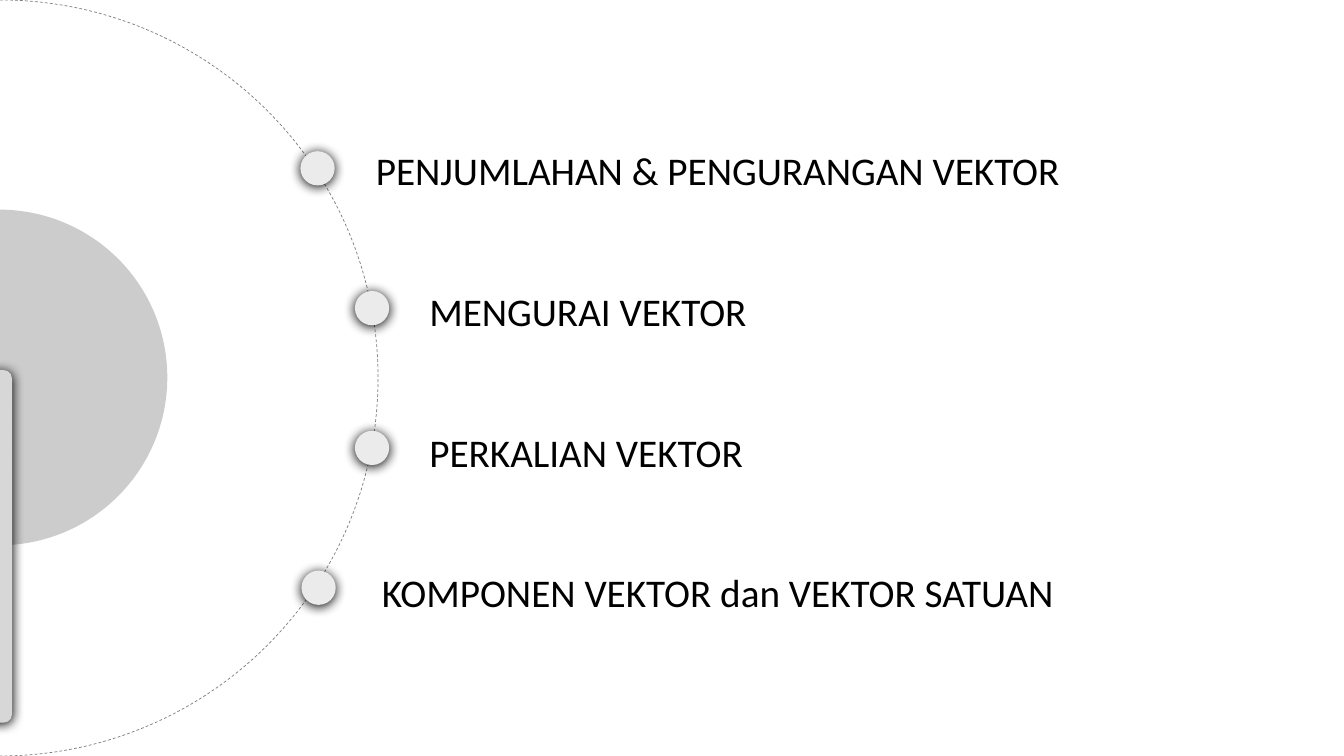
from lxml import etree
from pptx import Presentation
from pptx.dml.color import RGBColor
from pptx.enum.dml import MSO_LINE
from pptx.enum.shapes import MSO_SHAPE
from pptx.enum.text import MSO_ANCHOR, MSO_AUTO_SIZE
from pptx.oxml import parse_xml
from pptx.oxml.ns import nsdecls, qn
from pptx.util import Inches, Pt

COLORS = {"white": "FFFFFF", "black": "000000", "outline": "7D7D7D",
          "dot": "EBEBEB", "bar": "D7D7D7"}

prs = Presentation()
prs.slide_width, prs.slide_height = Inches(13.33), Inches(7.5)
slide = prs.slides.add_slide(prs.slide_layouts[6])


def add_filled(preset, left, top, width, height, color):
    shape = slide.shapes.add_shape(
        preset, Inches(left), Inches(top), Inches(width), Inches(height))
    shape.shadow.inherit = False
    shape.fill.solid()
    shape.fill.fore_color.rgb = RGBColor.from_string(COLORS[color])
    shape.line.fill.background()
    return shape


def add_soft_shadow(shape):
    effects = shape._element.spPr.find(qn("a:effectLst"))
    effects.append(parse_xml(
        f'<a:outerShdw {nsdecls("a")} blurRad="{Pt(8.5)}" dist="{Pt(1)}" '
        f'dir="5400000" algn="ctr" rotWithShape="0">'
        f'<a:srgbClr val="{COLORS["black"]}"/></a:outerShdw>'))


# Large dashed half circle, centred on the left edge
orbit = add_filled(MSO_SHAPE.ARC, -3.75, 0, 7.5, 7.5, "white")
orbit.adjustments[0], orbit.adjustments[1] = 162, 54.07
orbit.line.color.rgb = RGBColor.from_string(COLORS["outline"])
orbit.line.width = Pt(0.5)
orbit.line.dash_style = MSO_LINE.DASH

# Topics, each with a dot on the dashed curve
topics = [
    ("PENJUMLAHAN & PENGURANGAN VEKTOR", 2.98, 3.63),
    ("MENGURAI VEKTOR", 3.52, 4.16),
    ("PERKALIAN VEKTOR", 3.52, 4.16),
    ("KOMPONEN VEKTOR dan VEKTOR SATUAN", 2.99, 3.69),
]
for row, (topic, dot_left, label_left) in enumerate(topics):
    label = slide.shapes.add_textbox(
        Inches(label_left), Inches(1.4 + 1.397 * row), Inches(8), Inches(0.57))
    frame = label.text_frame
    frame.word_wrap = True
    frame.auto_size = MSO_AUTO_SIZE.SHAPE_TO_FIT_TEXT
    frame.vertical_anchor = MSO_ANCHOR.MIDDLE
    frame.text = topic
    font = frame.paragraphs[0].font
    font.name, font.size = "Calibri", Pt(28)
    font.color.rgb = RGBColor.from_string(COLORS["black"])

    dot = add_filled(MSO_SHAPE.OVAL, dot_left, 1.5 + 1.387 * row, 0.34, 0.34, "dot")
    add_soft_shadow(dot)

# Translucent inner half circle
core = add_filled(MSO_SHAPE.ARC, -1.67, 2.08, 3.33, 3.33, "black")
core.adjustments[0], core.adjustments[1] = 162, 53.6
core_color = core._element.spPr.find(qn("a:solidFill")).find(qn("a:srgbClr"))
etree.SubElement(core_color, qn("a:alpha")).set("val", "20000")

# Rounded bar at the left edge
bar = add_filled(MSO_SHAPE.ROUNDED_RECTANGLE, -0.13, 3.67, 0.25, 3.5, "bar")
bar.adjustments[0] = 0.35
bar.rotation = 180
add_soft_shadow(bar)

prs.save("out.pptx")
